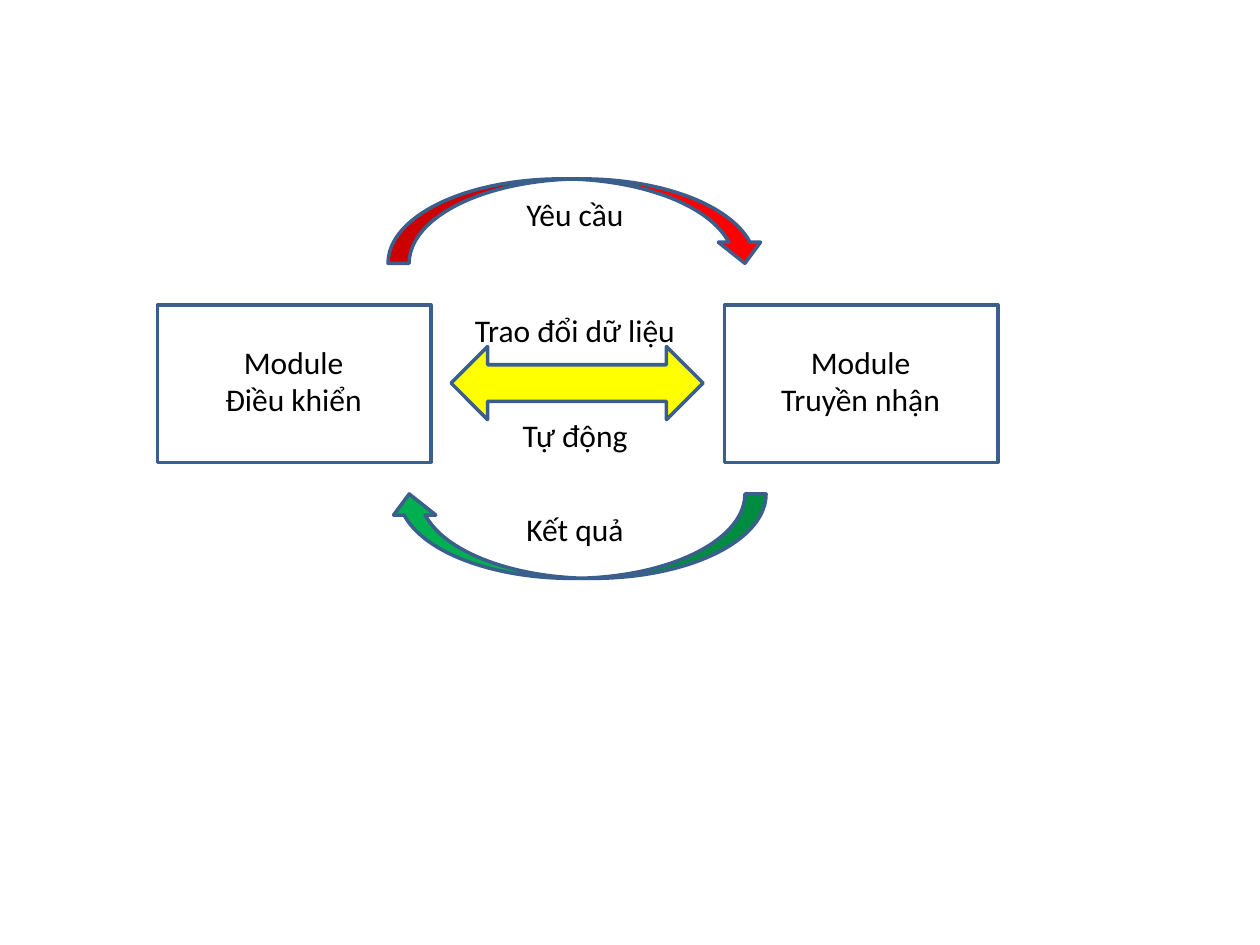
from pptx import Presentation
from pptx.dml.color import RGBColor
from pptx.enum import shapes, text
from pptx.util import Inches, Pt

KIND = shapes.MSO_SHAPE
ALIGN = text.PP_ALIGN

deck = Presentation()
deck.slide_width, deck.slide_height = Inches(10), Inches(7.5)
slide = deck.slides.add_slide(deck.slide_layouts[6])


def draw(kind, left, top, width, height, fill):
    shape = slide.shapes.add_shape(
        kind, Inches(left), Inches(top), Inches(width), Inches(height))
    shape.shadow.inherit = False
    shape.fill.solid()
    shape.fill.fore_color.rgb = RGBColor.from_string(fill)
    shape.line.color.rgb = RGBColor.from_string("3A5F8C")
    shape.line.width = Pt(2)
    return shape


def write(words, left, top, width, height=0.4, align=ALIGN.LEFT):
    box = slide.shapes.add_textbox(
        Inches(left), Inches(top), Inches(width), Inches(height))
    frame = box.text_frame
    frame.word_wrap = True
    frame.auto_size = text.MSO_AUTO_SIZE.SHAPE_TO_FIT_TEXT
    frame.text = words
    for para in frame.paragraphs:
        para.alignment = align
        para.font.name = "Calibri"
        para.font.size = Pt(18)
        para.font.color.rgb = RGBColor.from_string("000000")


# Modules and the arrows between them
modules = [(1.25, "Module\nĐiều khiển"), (5.75, "Module\nTruyền nhận")]
for left, name in modules:
    draw(KIND.RECTANGLE, left, 2.42, 2.17, 1.25, "FFFFFF")

draw(KIND.LEFT_RIGHT_ARROW, 3.58, 2.75, 2, 0.58, "FFFF00")
for top, fill, turn in [(1.42, "FF0000", 0), (3.92, "00B050", 180)]:
    arc = draw(KIND.CURVED_DOWN_ARROW, 3.08, top, 3, 0.67, fill)
    arc.rotation = turn

# Labels
labels = [
    ("Yêu cầu", 4.08, 1.5, 1),
    ("Kết quả", 4.08, 4, 1),
    ("Trao đổi dữ liệu", 3.67, 2.42, 1.83),
    ("Tự động", 4.05, 3.25, 1.17),
]
for label in labels:
    write(*label)
for left, name in modules:
    write(name, left + 0.08, 2.67, 2, 0.71, ALIGN.CENTER)

deck.save("out.pptx")
